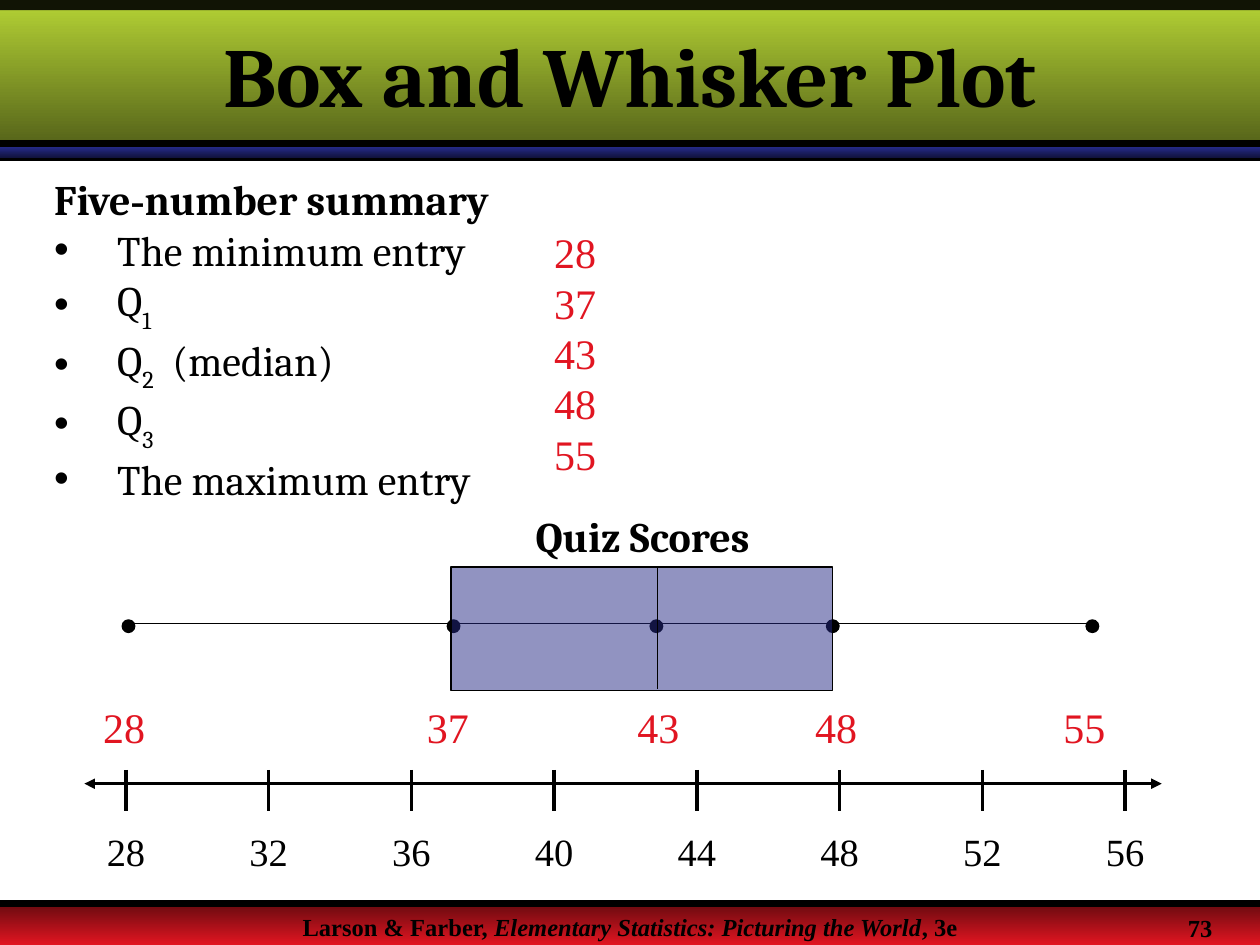
from lxml import etree
from pptx import Presentation
from pptx.dml.color import RGBColor
from pptx.enum.shapes import MSO_CONNECTOR as Connector, MSO_SHAPE as Preset
from pptx.enum.text import MSO_ANCHOR as Anchor, MSO_AUTO_SIZE as AutoSize, PP_ALIGN as Align
from pptx.oxml.ns import qn
from pptx.util import Inches, Pt

BLACK = RGBColor(0x00, 0x00, 0x00)
RED = RGBColor(0xE1, 0x15, 0x21)
DARK_RED = RGBColor(0x68, 0x0A, 0x0F)
BLUE = RGBColor(0x24, 0x29, 0x85)
DARK_BLUE = RGBColor(0x11, 0x13, 0x3E)
GREEN = RGBColor(0xB5, 0xD3, 0x35)
DARK_GREEN = RGBColor(0x54, 0x62, 0x19)

SERIF = "Times New Roman"
HEADING = "Cambria"

TITLE = dict(name=HEADING, size=Pt(48), bold=True)
SUBTITLE = dict(name=HEADING, size=Pt(24), bold=True)
BODY = dict(name=HEADING, size=Pt(24), bold=False)
SCORE = dict(name=SERIF, size=Pt(24), bold=False)
TICK = dict(name=SERIF, size=Pt(22), bold=False)
FOOTER = dict(name=SERIF, size=Pt(14), bold=True)

SUMMARY = [
    [("The minimum entry", False)],
    [("Q", False), ("1", True)],
    [("Q", False), ("2", True), ("  (median)", False)],
    [("Q", False), ("3", True)],
    [("The maximum entry", False)],
]
FIVE_NUMBERS = [
    ("28", 1.02, 0.72),
    ("37", 3.6, 3.29),
    ("43", 5.21, 4.96),
    ("48", 6.61, 6.37),
    ("55", 8.67, 8.34),
]


def add_span(para, text, style, color=BLACK, **changes):
    span = para.add_run()
    span.text = text
    for name, value in {**style, **changes}.items():
        setattr(span.font, name, value)
    span.font.color.rgb = color
    return span


def place(box, left, top, width, height):
    values = dict(left=left, top=top, width=width, height=height)
    for name, value in values.items():
        setattr(box, name, Inches(value))


def add_label(shapes, text, area, style, color=BLACK, align=Align.LEFT, wrap=False):
    box = shapes.add_textbox(*map(Inches, area))
    box.text_frame.word_wrap = wrap
    para = box.text_frame.paragraphs[0]
    para.alignment = align
    if text:
        add_span(para, text, style, color)
    return para


def set_alpha(shape, percent):
    color = shape.fill._xPr.find(qn("a:solidFill"))[0]
    etree.SubElement(color, qn("a:alpha")).set("val", str(percent * 1000))


def add_solid(shapes, preset, area, color, alpha=None, outlined=True):
    shape = shapes.add_shape(preset, *map(Inches, area))
    shape.shadow.inherit = False
    shape.fill.solid()
    shape.fill.fore_color.rgb = color
    if alpha:
        set_alpha(shape, alpha)
    if outlined:
        shape.line.color.rgb = BLACK
        shape.line.width = Pt(0.75)
    else:
        shape.line.fill.background()


def add_band(shapes, top, height, start, end):
    band = shapes.add_shape(Preset.RECTANGLE, 0, Inches(top), Inches(10), Inches(height))
    band.shadow.inherit = False
    band.line.fill.background()
    band.fill.gradient()
    band.fill.gradient_angle = 270
    for stop, color, position in zip(band.fill.gradient_stops, (start, end), (0, 1)):
        stop.color.rgb = color
        stop.position = position


def add_line(shapes, start, end, width, arrows=False):
    line = shapes.add_connector(Connector.STRAIGHT, *map(Inches, (*start, *end)))
    line.line.color.rgb = BLACK
    line.line.width = Pt(width)
    if arrows:
        for end_name in ("a:headEnd", "a:tailEnd"):
            etree.SubElement(line.line._get_or_add_ln(), qn(end_name)).set("type", "triangle")
    etree.SubElement(line._element.spPr, qn("a:effectLst"))


def add_frame(shapes):
    add_band(shapes, 7.17, 0.33, DARK_RED, RED)
    add_line(shapes, (0, 1.25), (10, 1.25), 4)
    para = add_label(shapes, "", (0, 7.19, 10, 0.2), FOOTER, align=Align.CENTER, wrap=True)
    add_span(para, "Larson & Farber, ", FOOTER)
    add_span(para, "Elementary Statistics: Picturing the World", FOOTER, italic=True)
    add_span(para, ", 3e", FOOTER)
    add_band(shapes, 1.17, 0.08, BLUE, DARK_BLUE)
    add_band(shapes, 0, 1.17, GREEN, DARK_GREEN)
    add_line(shapes, (0, 7.17), (10, 7.17), 4)
    add_solid(shapes, Preset.RECTANGLE, (0, 0, 10, 0.08), BLACK, alpha=90, outlined=False)
    add_line(shapes, (0, 1.14), (10, 1.14), 4)
    add_label(shapes, "73", (9.33, 7.2, 1.08, 0.34), FOOTER)


def fill_title(title):
    place(title, 0, 0.17, 10, 0.83)
    title.text_frame.vertical_anchor = Anchor.MIDDLE
    para = title.text_frame.paragraphs[0]
    para.alignment = Align.CENTER
    add_span(para, "Box and Whisker Plot", TITLE)


def set_bullet(para, char=None):
    props = para._p.get_or_add_pPr()
    props.set("marL", str(Inches(0.5)))
    props.set("indent", str(Inches(-0.5)))
    if char:
        etree.SubElement(props, qn("a:buChar")).set("char", char)
    else:
        etree.SubElement(props, qn("a:buNone"))
    para.space_before = Pt(0)


def fill_summary(body):
    place(body, 0.33, 1.33, 9.14, 2.72)
    frame = body.text_frame
    frame.auto_size = AutoSize.NONE
    heading = frame.paragraphs[0]
    set_bullet(heading)
    add_span(heading, "Five", SUBTITLE)
    add_span(heading, "-", SUBTITLE, name=SERIF)
    add_span(heading, "number summary", SUBTITLE)
    for parts in SUMMARY:
        para = frame.add_paragraph()
        set_bullet(para, "•")
        for text, lowered in parts:
            span = add_span(para, text, BODY)
            if lowered:
                span._r.get_or_add_rPr().set("baseline", "-30000")


def add_axis(shapes):
    add_line(shapes, (0.67, 6.22), (9.22, 6.22), 2, arrows=True)
    for index, value in enumerate(range(28, 57, 4)):
        center = 1 + index * 7.93 / 7
        add_line(shapes, (center, 6.11), (center, 6.44), 2)
        area = (center - 0.3, 6.52, 0.6, 0.47)
        add_label(shapes, str(value), area, TICK, align=Align.CENTER)


def add_box_plot(shapes):
    for _, center, _ in FIVE_NUMBERS:
        add_solid(shapes, Preset.OVAL, (center - 0.05, 4.92, 0.1, 0.1), BLACK)
    add_line(shapes, (1, 4.95), (8.65, 4.95), 0.75)
    add_solid(shapes, Preset.RECTANGLE, (3.58, 4.5, 3.03, 0.98), BLUE, alpha=50)
    add_line(shapes, (5.22, 4.5), (5.22, 5.47), 0.75)


def main():
    deck = Presentation()
    deck.slide_width, deck.slide_height = Inches(10), Inches(7.5)
    page = deck.slides.add_slide(deck.slide_layouts[1])
    shapes = page.shapes
    title, body = page.placeholders
    add_frame(shapes)
    for box in (title, body):
        shapes._spTree.append(box._element)
    fill_title(title)
    fill_summary(body)
    for row, (score, _, _) in enumerate(FIVE_NUMBERS):
        add_label(shapes, score, (4.3, 1.75 + row * 0.4, 0.61, 0.5), SCORE, RED)
    add_axis(shapes.add_group_shape().shapes)
    add_box_plot(shapes.add_group_shape().shapes)
    for score, _, left in FIVE_NUMBERS:
        add_label(shapes, score, (left, 5.52, 0.61, 0.5), SCORE, RED)
    add_label(shapes, "Quiz Scores", (3.85, 4, 2.5, 0.5), SUBTITLE, align=Align.CENTER, wrap=True)
    deck.save("out.pptx")


if __name__ == "__main__":
    main()
